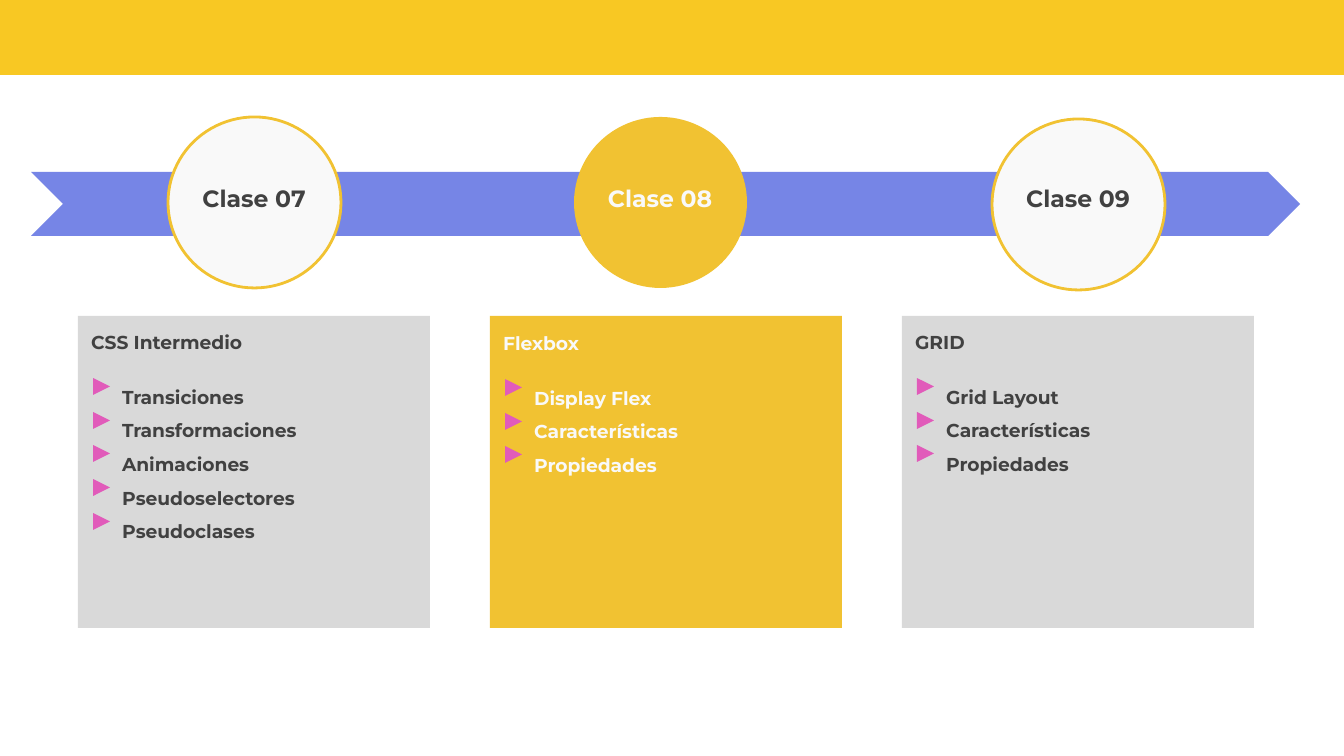
from pptx import Presentation
from pptx.dml.color import RGBColor
from pptx.enum.shapes import MSO_SHAPE as Shape
from pptx.enum.text import MSO_ANCHOR as Anchor, MSO_AUTO_SIZE as AutoSize, PP_ALIGN as Align
from pptx.util import Emu, Pt

FONT = "Montserrat"
GOLD, GRAY, DARK, LIGHT = "F1C232", "D9D9D9", "414141", "F9F9F9"
BLUE, PINK, YELLOW = "7685E6", "E15BBA", "F8C823"

LESSONS = [
    {"label": "Clase 07", "circle": (168, 117), "current": False, "shift": 0,
     "topic": "CSS Intermedio",
     "items": ["Transiciones", "Transformaciones", "Animaciones",
               "Pseudoselectores", "Pseudoclases"]},
    {"label": "Clase 08", "circle": (574, 117), "current": True, "shift": 1,
     "topic": "Flexbox",
     "items": ["Display Flex", "Características", "Propiedades"]},
    {"label": "Clase 09", "circle": (992, 119), "current": False, "shift": 0,
     "topic": "GRID",
     "items": ["Grid Layout", "Características", "Propiedades"]},
]


def px(length):
    """Turn whole pixels into EMU."""
    return Emu(round(length * 914400 / 134.4))


def color(value):
    """Turn a hex string into a colour."""
    return RGBColor.from_string(value)


class Page:
    """Style and drawing methods for one slide."""

    def __init__(self, deck):
        """Add a title-only slide to the deck."""
        self.slide = deck.slides.add_slide(deck.slide_layouts[5])
        self.shapes = self.slide.shapes

    def shape(self, kind, left, top, width, height, fill, line=None, rotation=0):
        """Draw a filled preset shape."""
        shape = self.shapes.add_shape(kind, px(left), px(top), px(width), px(height))
        shape.shadow.inherit = False
        shape.rotation = rotation
        shape.fill.solid()
        shape.fill.fore_color.rgb = color(fill)
        if line:
            shape.line.color.rgb = color(line)
            shape.line.width = Pt(1.5)
        else:
            shape.line.fill.background()

    def text(self, lines, left, top, width, height, size, ink, align, is_title=False):
        """Write bold lines in a text box or in the title placeholder."""
        if is_title:
            box = self.shapes.title
            box.element.getparent().append(box.element)
            box.left, box.top, box.width, box.height = map(px, (left, top, width, height))
        else:
            box = self.shapes.add_textbox(px(left), px(top), px(width), px(height))
        frame = box.text_frame
        frame.text = "\n".join(lines)
        frame.word_wrap = True
        frame.auto_size = AutoSize.NONE
        frame.vertical_anchor = Anchor.TOP
        frame.margin_left = frame.margin_right = Pt(7.2)
        frame.margin_top = frame.margin_bottom = Pt(7.2)
        for para in frame.paragraphs:
            para.alignment = align
            para.line_spacing = 1
            para.space_before = para.space_after = Pt(0)
            for span in para.runs:
                span.font.name = FONT
                span.font.size = Pt(size)
                span.font.bold = True
                span.font.color.rgb = color(ink)
        return frame

    def milestone(self, lesson):
        """Draw a lesson circle with its label."""
        left, top = lesson["circle"]
        current = lesson["current"]
        self.shape(Shape.OVAL, left, top, 173, 171, GOLD if current else LIGHT,
                   None if current else GOLD)
        self.text([lesson["label"]], left + 6, 171, 160, 44, 12.6,
                  LIGHT if current else DARK, Align.CENTER, current)

    def panel(self, lesson, left):
        """Draw a lesson panel with its topic and marked items."""
        current, shift = lesson["current"], lesson["shift"]
        self.shape(Shape.RECTANGLE, left, 316, 352, 312, GOLD if current else GRAY)
        frame = self.text([lesson["topic"], *lesson["items"]], left, 317 + shift, 352, 311,
                          10, LIGHT if current else DARK, Align.LEFT)
        items = frame.paragraphs[1:]
        items[0].space_before = Pt(11.5)
        for row, para in enumerate(items):
            para.line_spacing = 1.5
            properties = para._p.get_or_add_pPr()
            properties.set("marL", str(px(31)))
            properties.set("indent", "0")
            self.shape(Shape.ISOSCELES_TRIANGLE, left + 15, 378 + shift + round(row * 33.7),
                       17, 17, PINK, rotation=90)


def main():
    """Build the lesson timeline."""
    deck = Presentation()
    deck.slide_width, deck.slide_height = px(1344), px(756)
    page = Page(deck)
    page.shape(Shape.RECTANGLE, -1, -7, 1348, 82, YELLOW)
    page.shape(Shape.CHEVRON, 31, 172, 1269, 64, BLUE)
    for column, lesson in enumerate(LESSONS):
        page.milestone(lesson)
        page.panel(lesson, 78 + column * 412)
    deck.save("out.pptx")


if __name__ == "__main__":
    main()
